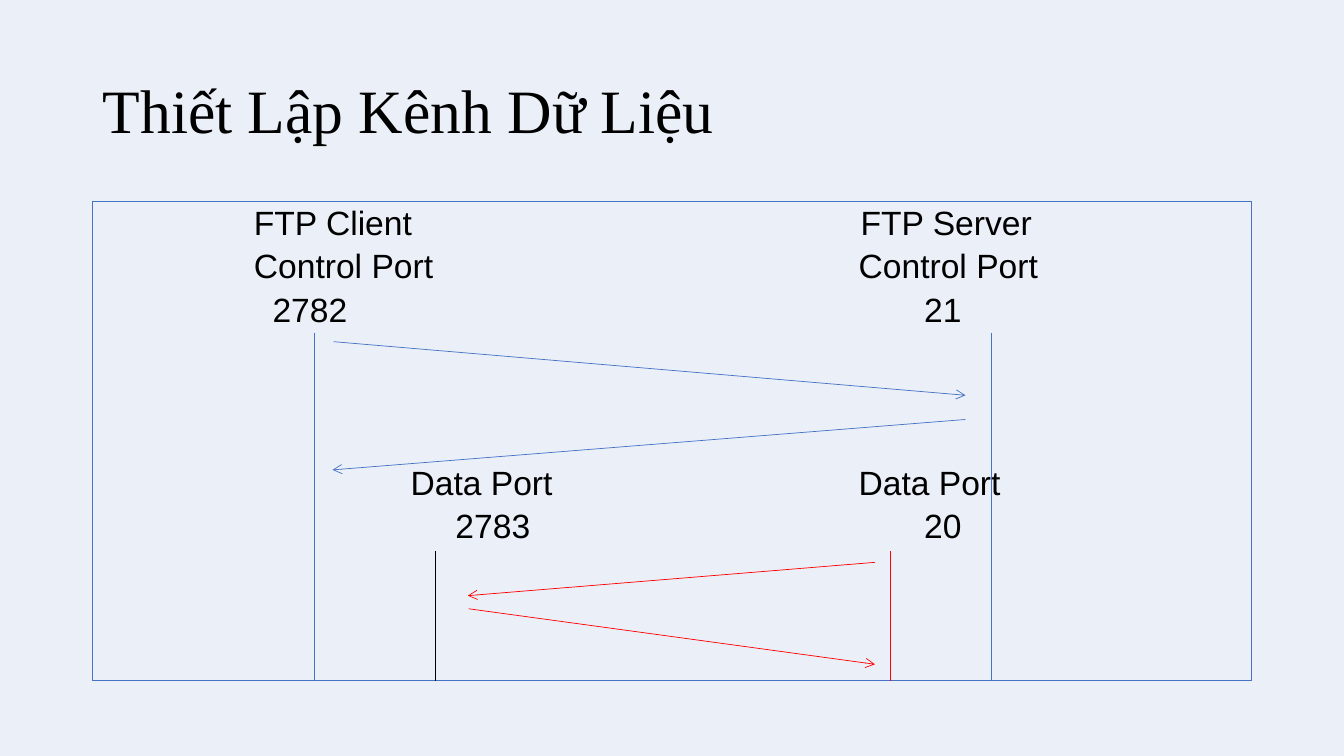
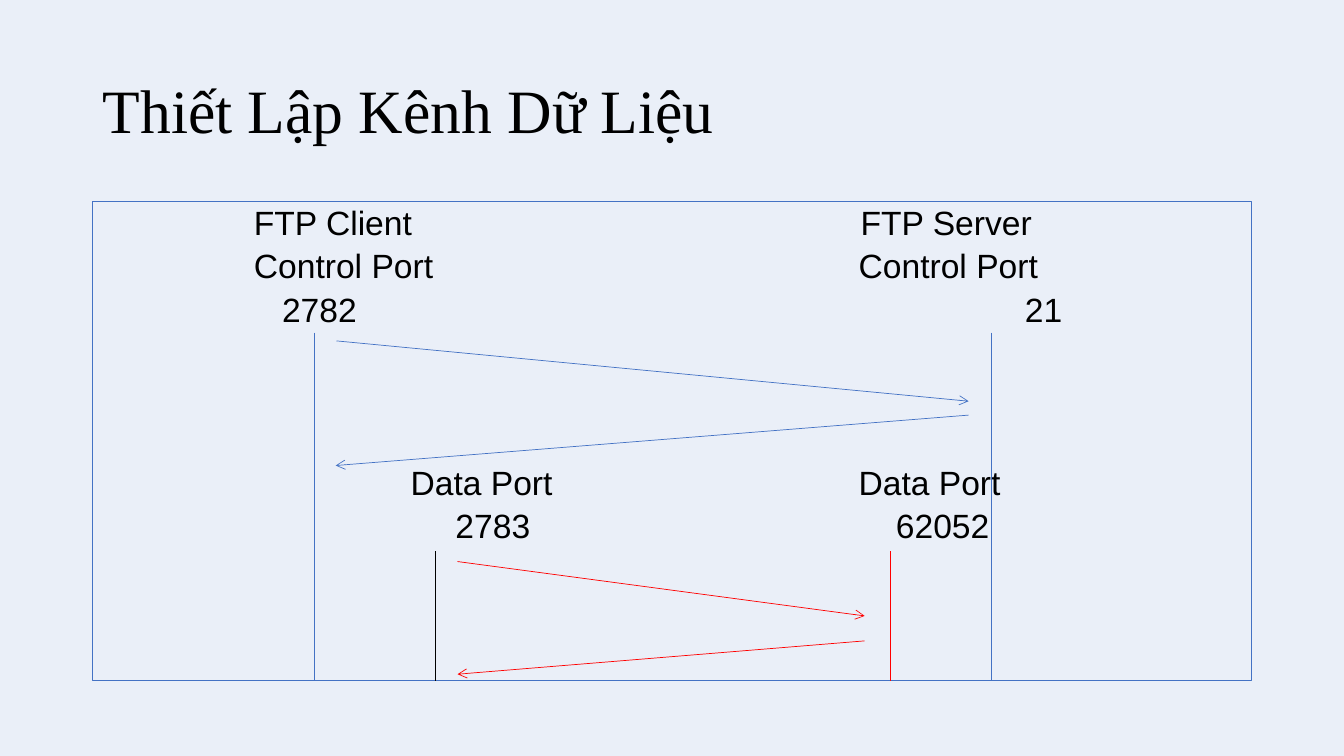
from lxml.etree import SubElement
from pptx import Presentation
from pptx.dml.color import RGBColor
from pptx.enum.shapes import MSO_CONNECTOR, MSO_SHAPE
from pptx.enum.text import MSO_ANCHOR
from pptx.oxml.ns import qn
from pptx.util import Cm, Pt

BACKGROUND, BLACK, BLUE, RED = "EAEFF8", "000000", "4472C4", "FF0000"

TITLE = "Thiết Lập Kênh Dữ Liệu"
TITLE_BOX = (2.34, 1.02, 29.21, 3.68)
FRAME = (2.34, 5.08, 29.21, 12.07)
FRAME_BOTTOM = FRAME[1] + FRAME[3]

# Label columns and rows
CLIENT, SERVER, CLIENT_DATA = 6.4, 21.64, 10.35
FIRST_ROW, ROW_HEIGHT = 5.02, 1.09
CONTROL_ROW, DATA_ROW = 0, 6

# Lifelines: x, top, colour
CONTROL_TOP, DATA_TOP = 8.38, 13.89
LIFELINES = [
    (7.92, CONTROL_TOP, BLUE),
    (24.99, CONTROL_TOP, BLUE),
    (10.97, DATA_TOP, BLACK),
    (22.43, DATA_TOP, RED),
]

# Labels: column, row, lines as (text, indent)
# Messages: start, end, colour
EXCHANGES = [
    {
        "labels": [
            (CLIENT, CONTROL_ROW, [("FTP Client", 0), ("Control Port", 0), ("2782", 0.47)]),
            (SERVER, CONTROL_ROW, [("FTP Server", 0.05), ("Control Port", 0), ("21", 1.65)]),
            (CLIENT_DATA, DATA_ROW, [("Data Port", 0), ("2783", 1.13)]),
            (SERVER, DATA_ROW, [("Data Port", 0), ("20", 1.65)]),
        ],
        "messages": [
            ((8.41, 8.61), (24.33, 9.96), BLUE),
            ((24.33, 10.57), (8.38, 11.84), BLUE),
            ((22.05, 14.17), (11.79, 15.01), RED),
            ((11.81, 15.34), (22.05, 16.74), RED),
        ],
    },
    {
        "labels": [
            (CLIENT, CONTROL_ROW, [("FTP Client", 0), ("Control Port", 0), ("2782", 0.71)]),
            (SERVER, CONTROL_ROW, [("FTP Server", 0.05), ("Control Port", 0), ("21", 4.19)]),
            (CLIENT_DATA, DATA_ROW, [("Data Port", 0), ("2783", 1.13)]),
            (SERVER, DATA_ROW, [("Data Port", 0), ("62052", 0.94)]),
        ],
        "messages": [
            ((8.48, 8.59), (24.41, 10.11), BLUE),
            ((24.41, 10.46), (8.46, 11.73), BLUE),
            ((11.53, 14.15), (21.79, 15.52), RED),
            ((21.79, 16.15), (11.53, 16.99), RED),
        ],
    },
]


def rgb(colour):
    return RGBColor.from_string(colour)


def cms(values):
    return [Cm(value) for value in values]


def style_font(paragraph, name, size):
    paragraph.font.name = name
    paragraph.font.size = Pt(size)
    paragraph.font.color.rgb = rgb(BLACK)


def add_title(slide):
    frame = slide.shapes.add_textbox(*cms(TITLE_BOX)).text_frame
    frame.word_wrap = True
    frame.vertical_anchor = MSO_ANCHOR.MIDDLE
    paragraph = frame.paragraphs[0]
    paragraph.text = TITLE
    paragraph.line_spacing = 0.9
    style_font(paragraph, "Times New Roman", 44)


def add_frame(slide):
    border = slide.shapes.add_shape(MSO_SHAPE.RECTANGLE, *cms(FRAME))
    border.shadow.inherit = False
    border.fill.background()
    border.line.color.rgb = rgb(BLUE)
    border.line.width = Pt(0.75)


def add_label(slide, left, row, lines):
    """Add one block of lines whose first line sits on the given text row."""
    box = (left, FIRST_ROW + row * ROW_HEIGHT, 7, len(lines) * ROW_HEIGHT)
    frame = slide.shapes.add_textbox(*cms(box)).text_frame
    frame.word_wrap = True
    frame.margin_left = frame.margin_right = 0
    frame.margin_top = frame.margin_bottom = 0
    for number, (text, indent) in enumerate(lines):
        paragraph = frame.add_paragraph() if number else frame.paragraphs[0]
        paragraph.text = text
        paragraph.line_spacing = Cm(ROW_HEIGHT)
        style_font(paragraph, "Arial", 24)
        properties = paragraph._p.get_or_add_pPr()
        properties.set("marL", str(Cm(indent)))
        properties.set("indent", "0")


def add_line(slide, start, end, colour, arrow=False):
    connector = slide.shapes.add_connector(
        MSO_CONNECTOR.STRAIGHT, *cms(start), *cms(end))
    connector.line.color.rgb = rgb(colour)
    connector.line.width = Pt(0.5)
    if arrow:
        SubElement(connector.line._get_or_add_ln(), qn("a:tailEnd"), type="arrow")
    SubElement(connector._element.spPr, qn("a:effectLst"))


def add_exchange(slide, exchange):
    add_title(slide)
    add_frame(slide)
    for label in exchange["labels"]:
        add_label(slide, *label)
    for x, top, colour in LIFELINES:
        add_line(slide, (x, top), (x, FRAME_BOTTOM), colour)
    for message in exchange["messages"]:
        add_line(slide, *message, arrow=True)


def main():
    presentation = Presentation()
    presentation.slide_width, presentation.slide_height = cms((33.87, 19.05))
    background = presentation.slide_master.background.fill
    background.solid()
    background.fore_color.rgb = rgb(BACKGROUND)
    blank = presentation.slide_layouts[6]
    for exchange in EXCHANGES:
        add_exchange(presentation.slides.add_slide(blank), exchange)
    presentation.save("out.pptx")


if __name__ == "__main__":
    main()
